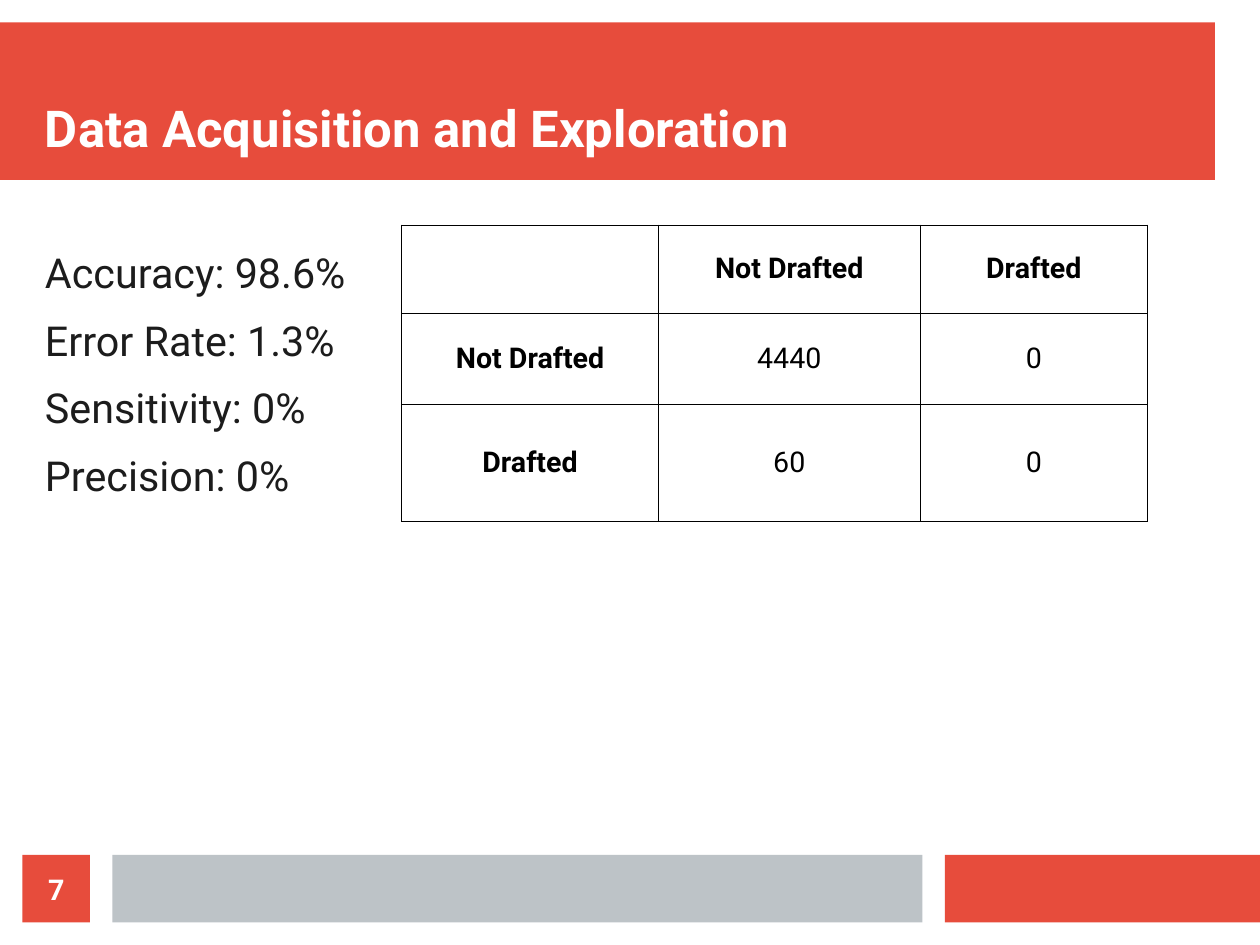
from lxml import etree
from pptx import Presentation
from pptx.dml.color import RGBColor
from pptx.enum.shapes import MSO_SHAPE
from pptx.enum.text import MSO_ANCHOR, MSO_AUTO_SIZE, PP_ALIGN
from pptx.oxml.ns import qn
from pptx.util import Cm, Pt

RECTANGLE = MSO_SHAPE.RECTANGLE
TOP, MIDDLE, BOTTOM = MSO_ANCHOR.TOP, MSO_ANCHOR.MIDDLE, MSO_ANCHOR.BOTTOM
LEFT, CENTER = PP_ALIGN.LEFT, PP_ALIGN.CENTER
NO_AUTOFIT = MSO_AUTO_SIZE.NONE

COLORS = {
    "red": "E74C3C",
    "gray": "BDC3C7",
    "white": "FFFFFF",
    "ink": "1C1C1C",
    "black": "000000",
}
FONT = "Roboto"
METRICS = ["Accuracy: 98.6%", "Error Rate: 1.3%", "Sensitivity: 0%", "Precision: 0%"]
CONFUSION = [
    ["", "Not Drafted", "Drafted"],
    ["Not Drafted", "4440", "0"],
    ["Drafted", "60", "0"],
]
COLUMN_WIDTHS = [5.7, 5.82, 5.05]
ROW_HEIGHTS = [1.96, 2.03, 2.59]


def color(name):
    return RGBColor.from_string(COLORS[name])


def style(paragraph, size, ink, bold=False, align=LEFT):
    paragraph.alignment = align
    paragraph.font.name = FONT
    paragraph.font.size = Pt(size)
    paragraph.font.bold = bold
    paragraph.font.color.rgb = color(ink)


def prepare_frame(frame, anchor):
    frame.margin_left = frame.margin_right = 0
    frame.margin_top = frame.margin_bottom = 0
    frame.word_wrap = True
    frame.auto_size = NO_AUTOFIT
    frame.vertical_anchor = anchor


def place(shape, left, top, width, height):
    shape.left, shape.top = Cm(left), Cm(top)
    shape.width, shape.height = Cm(width), Cm(height)


def add_bar(slide, left, top, width, height, fill):
    bar = slide.shapes.add_shape(RECTANGLE, Cm(left), Cm(top), Cm(width), Cm(height))
    bar.shadow.inherit = False
    bar.fill.solid()
    bar.fill.fore_color.rgb = color(fill)
    bar.line.fill.background()
    return bar


def add_header(slide, left, top, width, height):
    banner = add_bar(slide, left, top, width, height, "red")
    title = slide.shapes.title
    title.element.addprevious(banner.element)
    place(title, left + 1, top + 0.5, width - 1, height - 1)
    prepare_frame(title.text_frame, BOTTOM)
    title.text_frame.text = "Data Acquisition and Exploration"
    style(title.text_frame.paragraphs[0], 32, "white", bold=True)


def add_metrics(slide, left, top, width, height):
    metrics = slide.placeholders[1]
    place(metrics, left, top, width, height)
    frame = metrics.text_frame
    prepare_frame(frame, TOP)
    frame.text = "\n".join(METRICS)
    for paragraph in frame.paragraphs:
        properties = paragraph._p.get_or_add_pPr()
        properties.set("marL", "0")
        properties.set("indent", "0")
        etree.SubElement(properties, qn("a:buNone"))
        paragraph.space_before = Pt(0)
        paragraph.space_after = Pt(11.4)
        style(paragraph, 26, "ink")


def add_borders(cell):
    properties = cell._tc.get_or_add_tcPr()
    for side in ("a:lnL", "a:lnR", "a:lnT", "a:lnB"):
        border = etree.SubElement(properties, qn(side), w=str(Pt(0.57)))
        fill = etree.SubElement(border, qn("a:solidFill"))
        etree.SubElement(fill, qn("a:srgbClr"), val=COLORS["black"])


def add_confusion_matrix(slide, left, top):
    matrix = slide.shapes.add_table(
        len(ROW_HEIGHTS), len(COLUMN_WIDTHS), Cm(left), Cm(top),
        Cm(sum(COLUMN_WIDTHS)), Cm(sum(ROW_HEIGHTS)),
    ).table
    matrix.first_row = matrix.horz_banding = False
    for column, width in zip(matrix.columns, COLUMN_WIDTHS):
        column.width = Cm(width)
    for row, height in zip(matrix.rows, ROW_HEIGHTS):
        row.height = Cm(height)
    for r, values in enumerate(CONFUSION):
        for c, value in enumerate(values):
            cell = matrix.cell(r, c)
            add_borders(cell)
            cell.fill.background()
            cell.margin_left = cell.margin_right = Cm(0.1)
            cell.margin_top = cell.margin_bottom = Cm(0.13)
            cell.vertical_anchor = MIDDLE
            cell.text = value
            is_heading = r == 0 or c == 0
            style(cell.text_frame.paragraphs[0], 18, "black", is_heading, CENTER)


def add_footer(slide, left, top, width, height):
    gap, middle_width = 0.5, 18
    page = add_bar(slide, left + gap, top, height, height, "red")
    prepare_frame(page.text_frame, MIDDLE)
    page.text_frame.text = "7"
    style(page.text_frame.paragraphs[0], 18, "white", bold=True, align=CENTER)
    middle = left + gap + height + gap
    add_bar(slide, middle, top, middle_width, height, "gray")
    end = middle + middle_width + gap
    add_bar(slide, end, top, left + width - end, height, "red")


def main():
    deck = Presentation()
    deck.slide_width, deck.slide_height = Cm(28), Cm(21)
    slide = deck.slides.add_slide(deck.slide_layouts[1])
    slide.background.fill.solid()
    slide.background.fill.fore_color.rgb = color("white")
    add_header(slide, 0, 0.5, 27, 3.5)
    add_metrics(slide, 1, 5.5, 12.45, 13)
    add_confusion_matrix(slide, 8.93, 5)
    add_footer(slide, 0, 19, 28, 1.5)
    deck.save("out.pptx")


if __name__ == "__main__":
    main()
